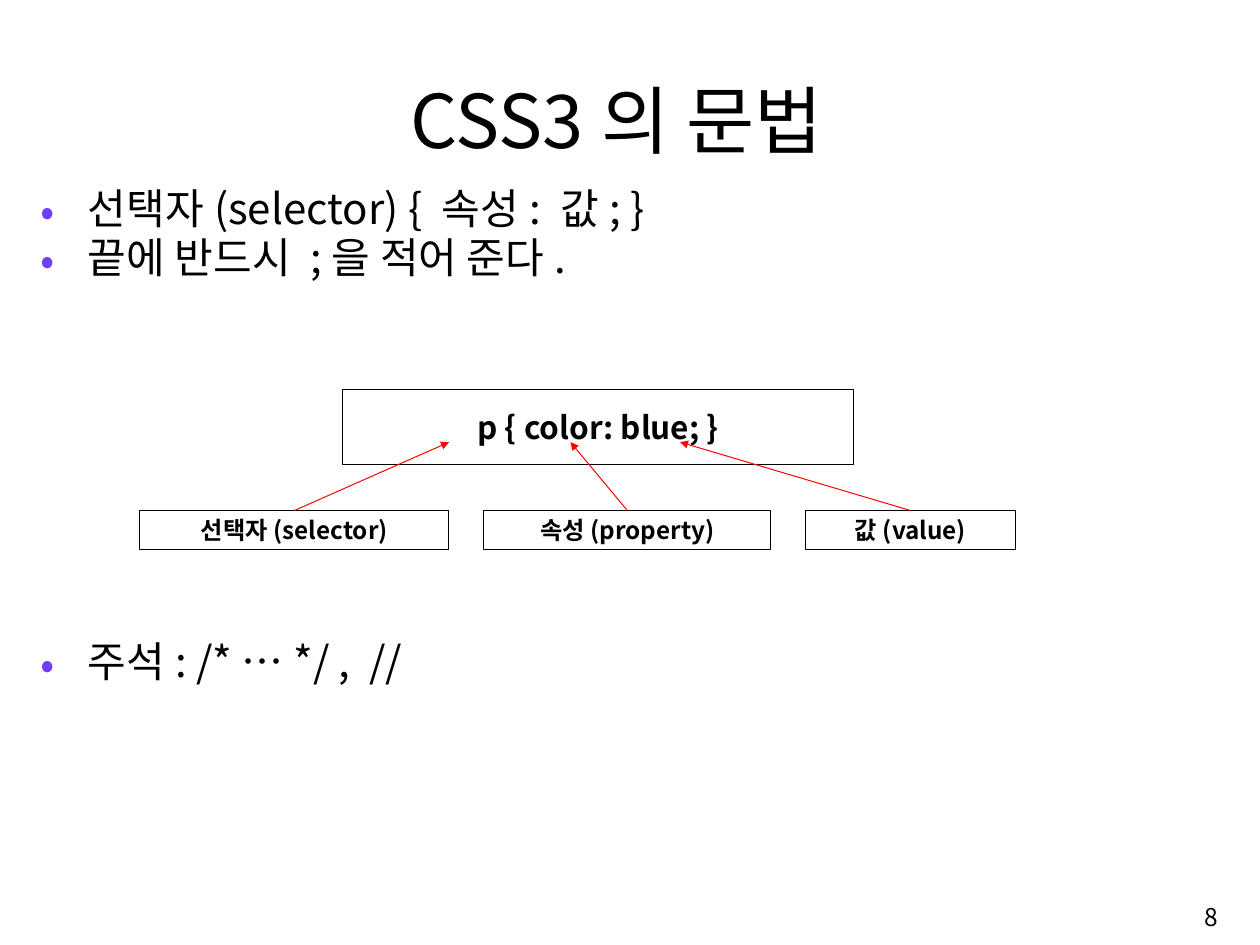
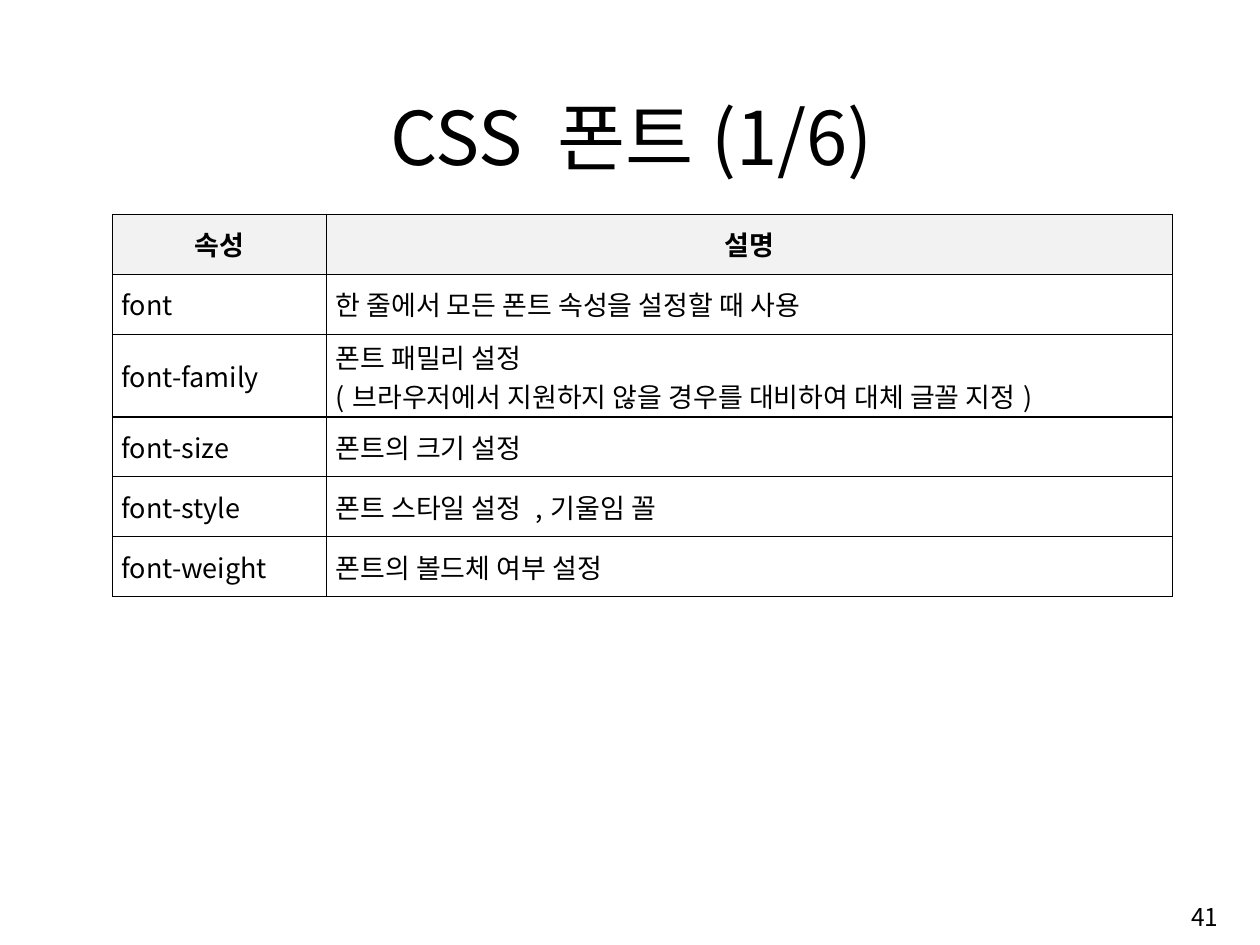
from dataclasses import dataclass

from lxml.etree import SubElement
from pptx import Presentation
from pptx.dml.color import RGBColor
from pptx.enum.shapes import MSO_CONNECTOR, MSO_SHAPE
from pptx.enum.text import MSO_ANCHOR, MSO_AUTO_SIZE, PP_ALIGN
from pptx.oxml.ns import qn
from pptx.util import Cm, Pt

FONT = "Noto Sans CJK KR"
BLACK, RED, PURPLE, HEADER_GRAY = "000000", "FF0000", "703DFF", "F2F2F2"
TITLE_SIZE, BODY_SIZE, NUMBER_SIZE = 55, 31.2, 18.2
LINE_WIDTH = 0.75
TITLE_AND_CONTENT, TITLE_ONLY = 1, 5


@dataclass(frozen=True)
class Box:
    left: float
    top: float
    width: float
    height: float

    def lengths(self) -> tuple:
        return Cm(self.left), Cm(self.top), Cm(self.width), Cm(self.height)


@dataclass(frozen=True)
class Bullet:
    text: str
    space_before: float


@dataclass(frozen=True)
class Label:
    """A part of the CSS rule and the x position its arrow points at."""
    text: str
    width: float
    target_x: float


BULLETS = (
    Bullet("선택자(selector) { 속성: 값; }", 2.7),
    Bullet("끝에 반드시 ;을 적어 준다.", 2.7),
    Bullet("주석: /* … */ ,  //", 266),
)
RULE_BOX = Box(8.97, 10.19, 13.39, 1.98)
LABELS = (
    Label("선택자(selector)", 8.1, 11.76),
    Label("속성(property)", 7.52, 14.94),
    Label("값(value)", 5.49, 17.81),
)
LABEL_LEFT, LABEL_TOP, LABEL_HEIGHT, LABEL_GAP = 3.66, 13.37, 1.02, 0.91
ARROW_TIP_Y = 11.58

FONT_ROWS = (
    ("속성", "설명"),
    ("font", "한 줄에서 모든 폰트 속성을 설정할 때 사용"),
    ("font-family", "폰트 패밀리 설정\n(브라우저에서 지원하지 않을 경우를 대비하여 대체 글꼴 지정)"),
    ("font-size", "폰트의 크기 설정"),
    ("font-style", "폰트 스타일 설정 ,기울임 꼴"),
    ("font-weight", "폰트의 볼드체 여부 설정"),
)
COLUMN_WIDTHS = (5.61, 22.15)
ROW_HEIGHT, TWO_LINE_HEIGHT = 1.57, 2.17


def color(hex_value: str) -> RGBColor:
    return RGBColor.from_string(hex_value)


def format_text(frame, size: float, align=PP_ALIGN.LEFT, bold: bool = False) -> None:
    for para in frame.paragraphs:
        para.alignment = align
        for span in para.runs:
            font = span.font
            font.name, font.size, font.bold = FONT, Pt(size), bold
            font.color.rgb = color(BLACK)
            east_asian = SubElement(span._r.rPr, qn("a:ea"), typeface=FONT)
            span._r.rPr.find(qn("a:latin")).addnext(east_asian)


def add_title(page, text: str, box: Box) -> None:
    title = page.shapes.title
    title.left, title.top, title.width, title.height = box.lengths()
    frame = title.text_frame
    frame.text = text
    frame.auto_size = MSO_AUTO_SIZE.NONE
    frame.vertical_anchor = MSO_ANCHOR.BOTTOM
    frame.margin_top = frame.margin_bottom = 0
    format_text(frame, TITLE_SIZE, PP_ALIGN.CENTER)


def add_page_number(page, number: int) -> None:
    frame = page.shapes.add_textbox(*Box(25.35, 23.24, 6.81, 1.52).lengths()).text_frame
    frame.word_wrap = True
    frame.vertical_anchor = MSO_ANCHOR.MIDDLE
    frame.text = str(number)
    format_text(frame, NUMBER_SIZE, PP_ALIGN.RIGHT)


def add_page(deck, layout: int, title: str, title_box: Box, number: int):
    page = deck.slides.add_slide(deck.slide_layouts[layout])
    add_title(page, title, title_box)
    add_page_number(page, number)
    return page


def fill_body(page, bullets: tuple[Bullet, ...], box: Box) -> None:
    body = page.placeholders[1]
    body.left, body.top, body.width, body.height = box.lengths()
    frame = body.text_frame
    frame.text = "\n".join(bullet.text for bullet in bullets)
    frame.auto_size = MSO_AUTO_SIZE.NONE
    format_text(frame, BODY_SIZE)
    for para, bullet in zip(frame.paragraphs, bullets):
        para.line_spacing = 0.9
        para.space_before = Pt(bullet.space_before)
        props = para._p.get_or_add_pPr()
        props.set("marL", str(Cm(1.24)))
        props.set("indent", str(-Cm(1.24)))
        SubElement(SubElement(props, qn("a:buClr")), qn("a:srgbClr"), val=PURPLE)
        SubElement(props, qn("a:buFont"), typeface=FONT)
        SubElement(props, qn("a:buChar"), char="•")


def add_outlined_box(page, text: str, box: Box, size: float):
    shape = page.shapes.add_shape(MSO_SHAPE.RECTANGLE, *box.lengths())
    shape.shadow.inherit = False
    shape.fill.background()
    shape.line.color.rgb = color(BLACK)
    shape.line.width = Pt(LINE_WIDTH)
    frame = shape.text_frame
    frame.word_wrap = True
    frame.vertical_anchor = MSO_ANCHOR.MIDDLE
    frame.margin_top = frame.margin_bottom = 0
    frame.text = text
    format_text(frame, size, PP_ALIGN.CENTER, bold=True)
    return shape


def add_arrow(page, source, tip_x: float, tip_y: float) -> None:
    """Draw an arrow from the top of source to a free point."""
    arrow = page.shapes.add_connector(
        MSO_CONNECTOR.STRAIGHT, source.left, source.top, Cm(tip_x), Cm(tip_y))
    arrow.begin_connect(source, 0)
    arrow.line.color.rgb = color(RED)
    arrow.line.width = Pt(LINE_WIDTH)
    SubElement(arrow.line._get_or_add_ln(), qn("a:tailEnd"), type="triangle")
    SubElement(arrow._element.spPr, qn("a:effectLst"))


def add_rule_diagram(page) -> None:
    add_outlined_box(page, "p { color: blue; }", RULE_BOX, 23.4)
    left = LABEL_LEFT
    for label in LABELS:
        box = Box(left, LABEL_TOP, label.width, LABEL_HEIGHT)
        shape = add_outlined_box(page, label.text, box, 18)
        add_arrow(page, shape, label.target_x, ARROW_TIP_Y)
        left += label.width + LABEL_GAP


def set_borders(cell) -> None:
    props = cell._tc.get_or_add_tcPr()
    for side in ("lnL", "lnR", "lnT", "lnB"):
        line = SubElement(props, qn(f"a:{side}"), w=str(Pt(1)))
        SubElement(SubElement(line, qn("a:solidFill")), qn("a:srgbClr"), val=BLACK)


def fill_cell(cell, text: str, is_header: bool) -> None:
    set_borders(cell)
    if is_header:
        cell.fill.solid()
        cell.fill.fore_color.rgb = color(HEADER_GRAY)
    else:
        cell.fill.background()
    cell.vertical_anchor = MSO_ANCHOR.MIDDLE
    cell.margin_left = cell.margin_right = Cm(0.23)
    cell.margin_top = cell.margin_bottom = Cm(0.08)
    cell.text_frame.text = text
    align = PP_ALIGN.CENTER if is_header else PP_ALIGN.JUSTIFY
    format_text(cell.text_frame, 20, align, bold=is_header)


def add_font_table(page) -> None:
    heights = [TWO_LINE_HEIGHT if "\n" in row[1] else ROW_HEIGHT for row in FONT_ROWS]
    box = Box(2.95, 5.61, sum(COLUMN_WIDTHS), sum(heights))
    table = page.shapes.add_table(
        len(FONT_ROWS), len(COLUMN_WIDTHS), *box.lengths()).table
    table.horz_banding = False
    for column, width in zip(table.columns, COLUMN_WIDTHS):
        column.width = Cm(width)
    for index, (row, height) in enumerate(zip(table.rows, heights)):
        row.height = Cm(height)
        for cell, text in zip(row.cells, FONT_ROWS[index]):
            fill_cell(cell, text, index == 0)


def main() -> None:
    deck = Presentation()
    deck.slide_width, deck.slide_height = Cm(33), Cm(24.75)

    syntax_page = add_page(
        deck, TITLE_AND_CONTENT, "CSS3의 문법", Box(2.67, 1.55, 26.95, 2.74), 8)
    fill_body(syntax_page, BULLETS, Box(0.81, 4.8, 31.29, 17.93))
    add_rule_diagram(syntax_page)

    font_page = add_page(
        deck, TITLE_ONLY, "CSS 폰트(1/6)", Box(3.07, 1.98, 26.95, 2.74), 41)
    add_font_table(font_page)

    deck.save("out.pptx")


if __name__ == "__main__":
    main()
